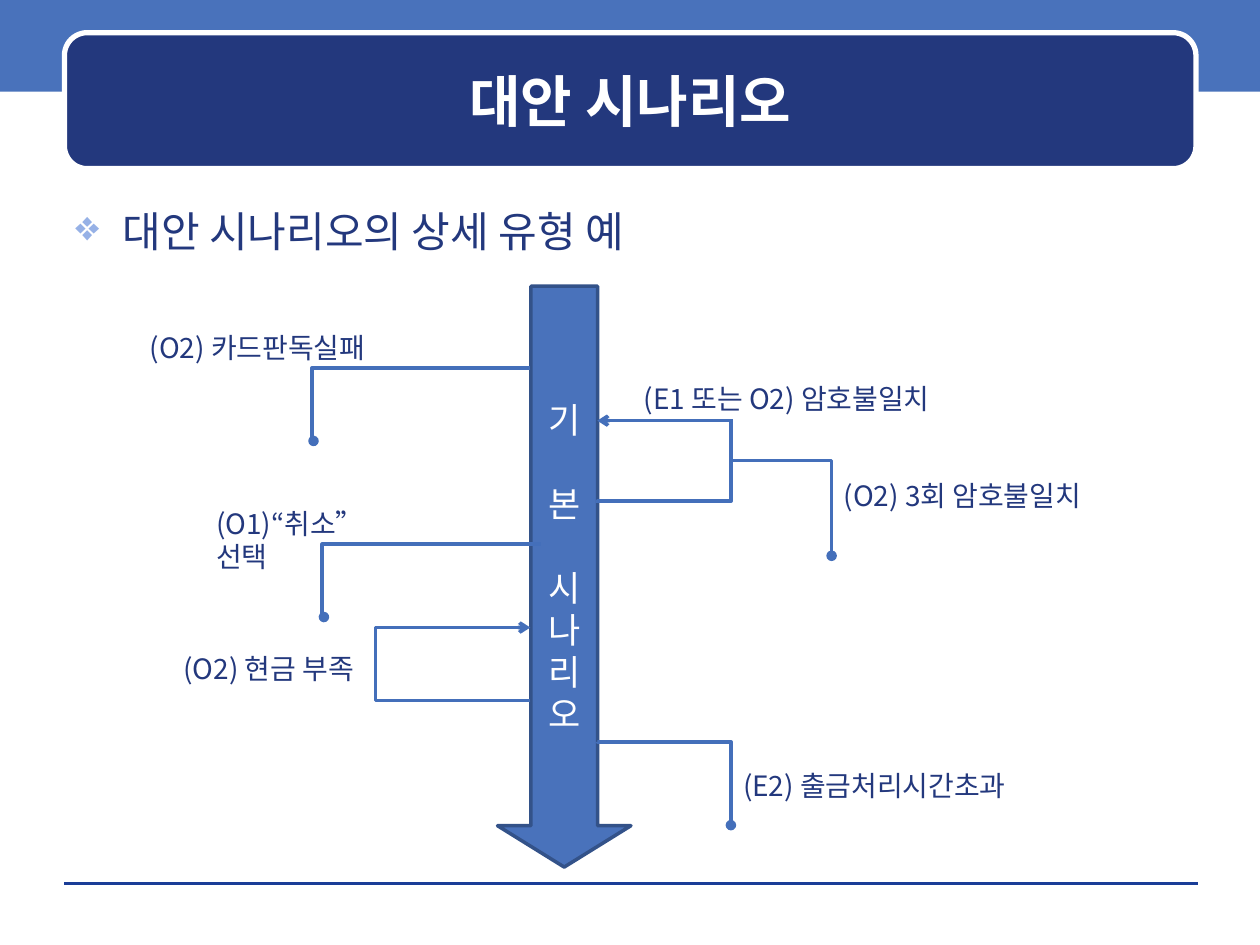
import pptx
import pptx.dml.color
import pptx.enum.shapes
import pptx.enum.text
import pptx.oxml
import pptx.oxml.ns
import pptx.util
from pptx.util import Cm

FONT = "Noto Sans CJK KR"
NAVY, BLUE, LINE, WHITE = "23387D", "4972BB", "446FBA", "FFFFFF"
SHAPES = pptx.enum.shapes.MSO_SHAPE
CONNECTORS = pptx.enum.shapes.MSO_CONNECTOR
ALIGN = pptx.enum.text.PP_ALIGN
ANCHOR = pptx.enum.text.MSO_ANCHOR


def color(code):
    """Return the colour for a hex string."""
    return pptx.dml.color.RGBColor.from_string(code)


def add_element(parent, tag, **attributes):
    """Append a drawing element to a parent and return it."""
    element = pptx.oxml.parse_xml(f"<a:{tag} {pptx.oxml.ns.nsdecls('a')}/>")
    for name, value in attributes.items():
        element.set(name, str(value))
    parent.append(element)
    return element


def add_bullet(para, mark, code, indent):
    """Give a paragraph a coloured bullet with a hanging indent."""
    properties = para._p.get_or_add_pPr()
    properties.set("marL", str(indent))
    properties.set("indent", str(-indent))
    add_element(add_element(properties, "buClr"), "srgbClr", val=code)
    add_element(properties, "buChar", char=mark)


def write(para, text, size=16, code=NAVY, bold=False, align=ALIGN.LEFT, before=0):
    """Write formatted text in a paragraph."""
    para.alignment = align
    if before:
        para.space_before = pptx.util.Pt(before)
    span = para.add_run()
    span.text = text
    span.font.size = pptx.util.Pt(size)
    span.font.bold = bold
    span.font.name = FONT
    span.font.color.rgb = color(code)
    add_element(span._r.get_or_add_rPr(), "ea", typeface=FONT)


def add_text(page, text, left, top, width, height=0.94, anchor=ANCHOR.TOP, bullet=None, **style):
    """Add a wrapping text box with one paragraph."""
    box = page.shapes.add_textbox(Cm(left), Cm(top), Cm(width), Cm(height))
    frame = box.text_frame
    frame.word_wrap = True
    frame.vertical_anchor = anchor
    if bullet:
        add_bullet(frame.paragraphs[0], *bullet)
    write(frame.paragraphs[0], text, **style)


def add_block(page, kind, left, top, width, height, fill, line=None, weight=0, adjustments=()):
    """Add a filled preset shape."""
    block = page.shapes.add_shape(kind, Cm(left), Cm(top), Cm(width), Cm(height))
    block.shadow.inherit = False
    block.fill.solid()
    block.fill.fore_color.rgb = color(fill)
    if line:
        block.line.color.rgb = color(line)
        block.line.width = pptx.util.Pt(weight)
    else:
        block.line.fill.background()
    for index, value in enumerate(adjustments):
        block.adjustments[index] = value
    return block


def add_line(page, start, end, kind=CONNECTORS.STRAIGHT, code=LINE, weight=2, tail=None):
    """Add a connector with an optional end mark."""
    line = page.shapes.add_connector(kind, *map(Cm, start + end))
    line.line.color.rgb = color(code)
    line.line.width = pptx.util.Pt(weight)
    if tail:
        add_element(line.line._get_or_add_ln(), "tailEnd", type=tail)
    add_element(line._element.spPr, "effectLst")
    return line


def add_elbow(page, left, top, width, height, turn, flip, bend, tail=None):
    """Add a bent connector turned and flipped within its frame."""
    xs, ys = [left, left + width], [top, top + height]
    if "h" in flip:
        xs.reverse()
    if "v" in flip:
        ys.reverse()
    elbow = add_line(page, (xs[0], ys[0]), (xs[1], ys[1]), CONNECTORS.ELBOW, tail=tail)
    properties = elbow._element.spPr
    properties.xfrm.set("rot", str(turn * 60000))
    guides = properties.find(pptx.oxml.ns.qn("a:prstGeom")).get_or_add_avLst()
    add_element(guides, "gd", name="adj1", fmla=f"val {round(bend * 100000)}")


def add_main_flow(page):
    """Add the downward arrow with its vertical caption."""
    arrow = add_block(page, SHAPES.DOWN_ARROW, 10.03, 5.77, 2.69, 11.71, BLUE, "335289", 2, (0.5, 0.31))
    frame = arrow.text_frame
    frame.word_wrap = True
    frame.vertical_anchor = ANCHOR.MIDDLE
    for index, (text, before) in enumerate([("기", 0), ("본", 24), ("시", 24), ("나리오", 0)]):
        para = frame.add_paragraph() if index else frame.paragraphs[0]
        write(para, text, size=20, code=WHITE, align=ALIGN.CENTER, before=before)


def main():
    """Build the alternative scenario slide."""
    deck = pptx.Presentation()
    deck.slide_width, deck.slide_height = Cm(25.4), Cm(19.05)
    page = deck.slides.add_slide(deck.slide_layouts[6])

    add_block(page, SHAPES.RECTANGLE, 0, -0.08, 25.4, 1.93, BLUE)
    add_line(page, (1.3, 17.81), (24.16, 17.81), code="1A3D97", weight=0)
    add_block(page, SHAPES.ROUNDED_RECTANGLE, 1.3, 0.66, 22.81, 2.74, NAVY, WHITE, 3, (0.167,))
    add_text(page, "대안 시나리오", 1.52, 0.89, 22.38, 2.24, anchor=ANCHOR.MIDDLE,
             size=32, code=WHITE, bold=True, align=ALIGN.CENTER)
    add_text(page, "대안 시나리오의 상세 유형 예", 1.27, 4.01, 22.86, 1.4,
             bullet=("❖", "96B1E6", Cm(0.95)), size=24)

    add_main_flow(page)
    for elbow in [
        (6.32, 7.42, 4.37, 1.47, 180, "v", 1.008, "oval"),
        (12.55, 7.95, 1.68, 2.69, 90, "hv", 0.018),
        (14.81, 9.25, 1.88, 2.03, 270, "h", -0.02, "oval"),
        (6.53, 10.97, 4.37, 1.47, 180, "v", 1.008, "oval"),
        (7.67, 12.65, 3.02, 1.47, 180, "", 1.035),
        (12.55, 14.45, 1.68, 2.69, 270, "h", 0.001, "oval"),
    ]:
        add_elbow(page, *elbow)
    add_line(page, (14.73, 8.48), (12.04, 8.48), tail="arrow")
    add_line(page, (7.67, 12.65), (10.69, 12.65), tail="arrow")
    for label in [
        ("(O2) 카드판독실패", 2.77, 6.53, 5.36),
        ("(E1 또는 O2) 암호불일치", 12.73, 7.57, 7.82),
        ("(O2) 3회 암호불일치", 16.76, 9.52, 6.65),
        ("(O1)“취소” 선택", 4.11, 10.08, 4.6),
        ("(O2) 현금 부족", 3.45, 13, 4.29),
        ("(E2) 출금처리시간초과", 14.73, 15.37, 7.57),
    ]:
        add_text(page, *label)
    deck.save("out.pptx")


if __name__ == "__main__":
    main()
